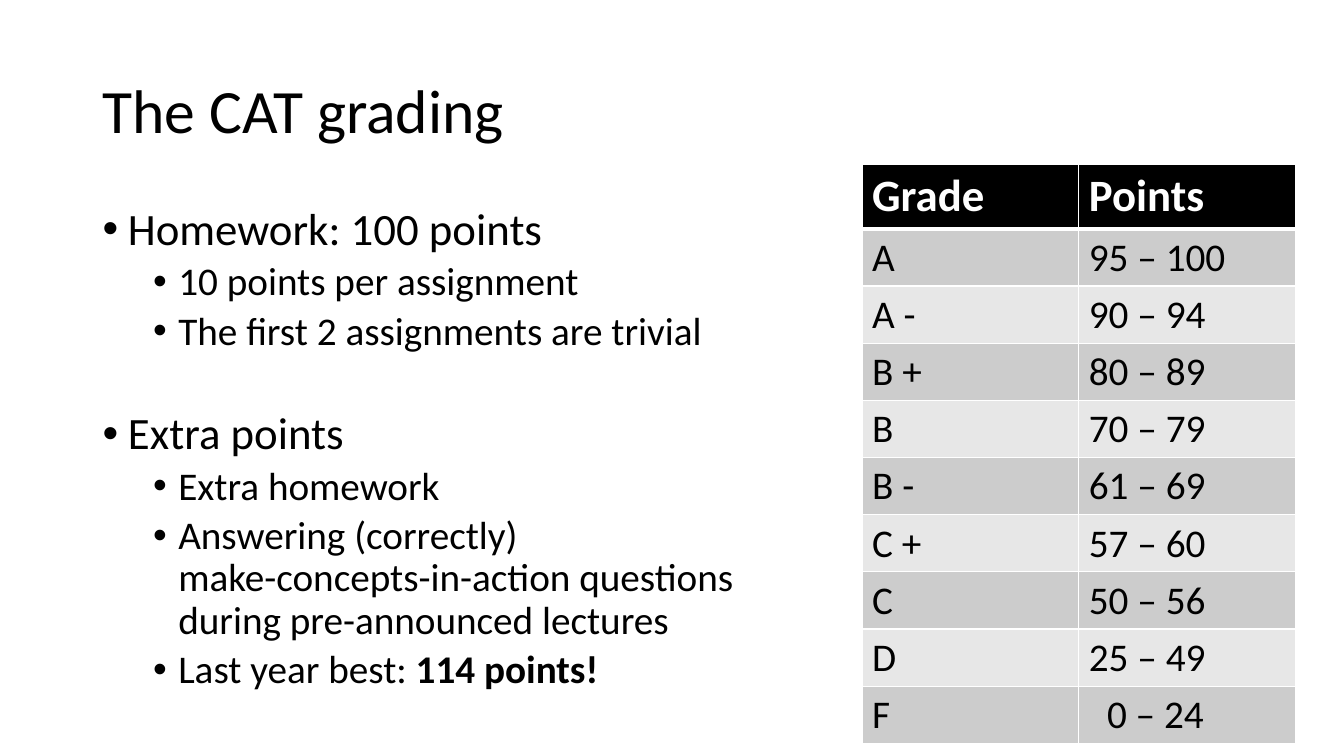
from lxml.etree import SubElement
from pptx import Presentation
from pptx.dml.color import RGBColor
from pptx.enum.text import MSO_ANCHOR as Anchor
from pptx.oxml.ns import qn
from pptx.util import Inches, Pt

GRADES = [
    ("A", "95 – 100"), ("A -", "90 – 94"), ("B +", "80 – 89"),
    ("B", "70 – 79"), ("B -", "61 – 69"), ("C +", "57 – 60"),
    ("C", "50 – 56"), ("D", "25 – 49"), ("F", "0 – 24"),
]
TOPICS = [
    (0, 0, "Homework: 100 points", ""),
    (1, 5, "10 points per assignment", ""),
    (1, 5, "The first 2 assignments are trivial", ""),
    (0, 41, "Extra points", ""),
    (1, 5, "Extra homework", ""),
    (1, 5, "Answering (correctly)\nmake-concepts-in-action questions\n"
           "during pre-announced lectures", ""),
    (1, 5, "Last year best: ", "114 points!"),
]


def color(code):
    return RGBColor.from_string(code)


def write(paragraph, text, size=28, ink="000000", bold=False, font="Calibri"):
    for number, line in enumerate(text.split("\n")):
        if number:
            paragraph.add_line_break()
        run = paragraph.add_run()
        run.text = line
        run.font.name, run.font.size, run.font.bold = font, Pt(size), bold
        run.font.color.rgb = color(ink)


class GradingSlide:
    """Draws text, bullets and tables in one style on one slide."""

    def __init__(self, deck):
        self.slide = deck.slides.add_slide(deck.slide_layouts[6])

    def text_frame(self, left, top, width, height, anchor=Anchor.TOP):
        box = self.slide.shapes.add_textbox(
            Inches(left), Inches(top), Inches(width), Inches(height))
        frame = box.text_frame
        frame.word_wrap = True
        frame.vertical_anchor = anchor
        return frame

    def title(self, text, *place):
        heading = self.text_frame(*place, anchor=Anchor.MIDDLE).paragraphs[0]
        heading.line_spacing = 0.9
        write(heading, text, size=44)

    def bullets(self, topics, *place):
        frame = self.text_frame(*place)
        for number, (level, gap, text, emphasis) in enumerate(topics):
            item = frame.add_paragraph() if number else frame.paragraphs[0]
            item.level = level
            item.line_spacing = 0.9
            item.space_before = Pt(gap)
            properties = item._p.get_or_add_pPr()
            properties.set("marL", str(Inches(0.25 + 0.5 * level)))
            properties.set("indent", str(Inches(-0.25)))
            SubElement(properties, qn("a:buFont"), typeface="Arial")
            SubElement(properties, qn("a:buChar"), char="•")
            write(item, text, size=28 if level else 32)
            if emphasis:
                write(item, emphasis, bold=True)

    def border(self, cell, **widths):
        properties = cell._tc.get_or_add_tcPr()
        for number, (side, width) in enumerate(widths.items()):
            line = properties.makeelement(qn(f"a:ln{side}"), w=str(Pt(width)))
            fill = SubElement(line, qn("a:solidFill"))
            SubElement(fill, qn("a:srgbClr"), val="FFFFFF")
            properties.insert(number, line)

    def table(self, header, records, left, top, width, height):
        rows = [header, *records]
        frame = self.slide.shapes.add_table(
            len(rows), len(header), Inches(left), Inches(top),
            Inches(width), Inches(height))
        grid = frame.table
        grid.horz_banding = False
        for r, record in enumerate(rows):
            grid.rows[r].height = Inches(0.46 if r else 0.64)
            shade = ("E7E7E7", "CCCCCC")[r % 2] if r else "000000"
            for c, text in enumerate(record):
                cell = grid.cell(r, c)
                cell.fill.solid()
                cell.fill.fore_color.rgb = color(shade)
                self.border(cell, L=1, R=1, T=3 if r == 1 else 1,
                            B=1 if r else 3)
                write(cell.text_frame.paragraphs[0], text,
                      size=28 if r else 32,
                      ink="000000" if r else "FFFFFF", bold=r == 0)
        frame.height = Inches(height)
        return grid


def main():
    deck = Presentation()
    deck.slide_width, deck.slide_height = Inches(13.33), Inches(7.5)
    grading = GradingSlide(deck)
    grading.title("The CAT grading", 0.92, 0.4, 11.5, 1.45)
    grading.bullets(TOPICS, 0.92, 2, 7.21, 5.01)
    scale = grading.table(("Grade", "Points"), GRADES, 8.55, 1.63, 4.3, 5.74)
    scale.cell(len(GRADES), 1).margin_left = Inches(0.28)
    deck.save("out.pptx")


if __name__ == "__main__":
    main()
